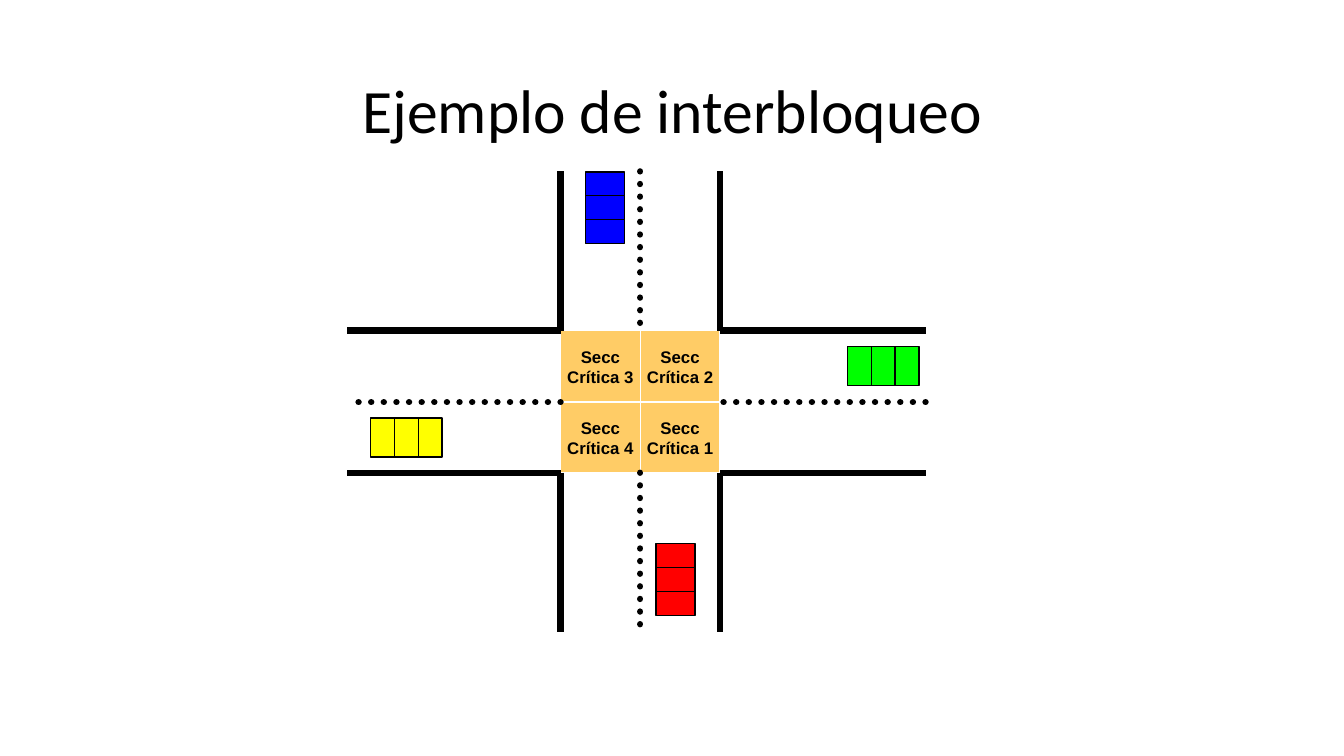
"""Build a slide that shows deadlock as four cars at a crossroads."""
from lxml import etree
from pptx import Presentation
from pptx.dml.color import RGBColor
from pptx.enum.dml import MSO_LINE
from pptx.enum.shapes import MSO_CONNECTOR, MSO_SHAPE
from pptx.enum.text import MSO_ANCHOR, PP_ALIGN
from pptx.oxml.ns import qn
from pptx.util import Inches, Pt

RECTANGLE = MSO_SHAPE.RECTANGLE
STRAIGHT = MSO_CONNECTOR.STRAIGHT
DOTTED = MSO_LINE.ROUND_DOT
MIDDLE = MSO_ANCHOR.MIDDLE
CENTER = PP_ALIGN.CENTER

BLACK = RGBColor(0, 0, 0)
WHITE = RGBColor(255, 255, 255)
ORANGE = RGBColor(255, 204, 102)
RED = RGBColor(255, 0, 0)
BLUE = RGBColor(0, 0, 255)
GREEN = RGBColor(0, 255, 0)
YELLOW = RGBColor(255, 255, 0)

TITLE = "Ejemplo de interbloqueo"
SECTIONS = [("Crítica 1", 1, 1), ("Crítica 3", 0, 0), ("Crítica 2", 1, 0), ("Crítica 4", 0, 1)]
CARS = [  # color, center x, center y, rotation
    (RED, 6.7, 5.75, 0),
    (BLUE, 6.0, 2.06, 0),
    (GREEN, 8.76, 3.63, 270),
    (YELLOW, 4.03, 4.34, 270),
]
ROAD_X = (5.56, 6.35, 7.14)
ROAD_Y = (3.28, 3.99, 4.69)
LEFT, TOP, RIGHT, BOTTOM = 3.44, 1.7, 9.18, 6.27
CAR_WIDTH, CAR_LENGTH = 0.39, 0.71


def add_span(para, text, font_name, size, bold=False):
    para.alignment = CENTER
    span = para.add_run()
    span.text = text
    span.font.name = font_name
    span.font.size = Pt(size)
    span.font.bold = bold
    span.font.color.rgb = BLACK


def add_box(shapes, left, top, width, height, fill, outline):
    box = shapes.add_shape(RECTANGLE, Inches(left), Inches(top), Inches(width), Inches(height))
    box.shadow.inherit = False
    box.fill.solid()
    box.fill.fore_color.rgb = fill
    box.line.color.rgb = outline
    box.line.width = Pt(1)
    return box


def add_road_line(start, end, dotted):
    line = slide.shapes.add_connector(STRAIGHT, *map(Inches, start + end))
    line.line.color.rgb = BLACK
    line.line.width = Pt(4.5)
    if dotted:
        line.line.dash_style = DOTTED
        line.line._get_or_add_ln().set("cap", "rnd")
    etree.SubElement(line._element.spPr, qn("a:effectLst"))


def add_car(color, center_x, center_y, rotation):
    car = slide.shapes.add_group_shape()
    for length in (CAR_LENGTH, CAR_LENGTH / 3):
        part = add_box(car.shapes, center_x - CAR_WIDTH / 2, center_y - length / 2,
                       CAR_WIDTH, length, color, BLACK)
        part.rotation = rotation


deck = Presentation()
deck.slide_width, deck.slide_height = Inches(13.33), Inches(7.5)
slide = deck.slides.add_slide(deck.slide_layouts[5])

title = slide.shapes.title
title.left, title.top, title.width, title.height = map(Inches, (0.92, 0.4, 11.5, 1.45))
title.text_frame.vertical_anchor = MIDDLE
title_para = title.text_frame.paragraphs[0]
title_para.line_spacing = 0.9
add_span(title_para, TITLE, "Calibri", 44)

crossing = slide.shapes.add_group_shape()
for name, column, row in SECTIONS:
    left, top = ROAD_X[column], ROAD_Y[row]
    box = add_box(crossing.shapes, left, top, ROAD_X[column + 1] - left,
                  ROAD_Y[row + 1] - top, ORANGE, WHITE)
    frame = box.text_frame
    frame.word_wrap = False
    frame.vertical_anchor = MIDDLE
    add_span(frame.paragraphs[0], "Secc", "Arial", 12, True)
    add_span(frame.add_paragraph(), name, "Arial", 12, True)

for index, x in enumerate(ROAD_X):
    add_road_line((x, TOP), (x, ROAD_Y[0]), index == 1)
    add_road_line((x, ROAD_Y[-1]), (x, BOTTOM), index == 1)
for index, y in enumerate(ROAD_Y):
    add_road_line((ROAD_X[0], y), (LEFT, y), index == 1)
    add_road_line((RIGHT, y), (ROAD_X[-1], y), index == 1)

for car in CARS:
    add_car(*car)

deck.save("out.pptx")
